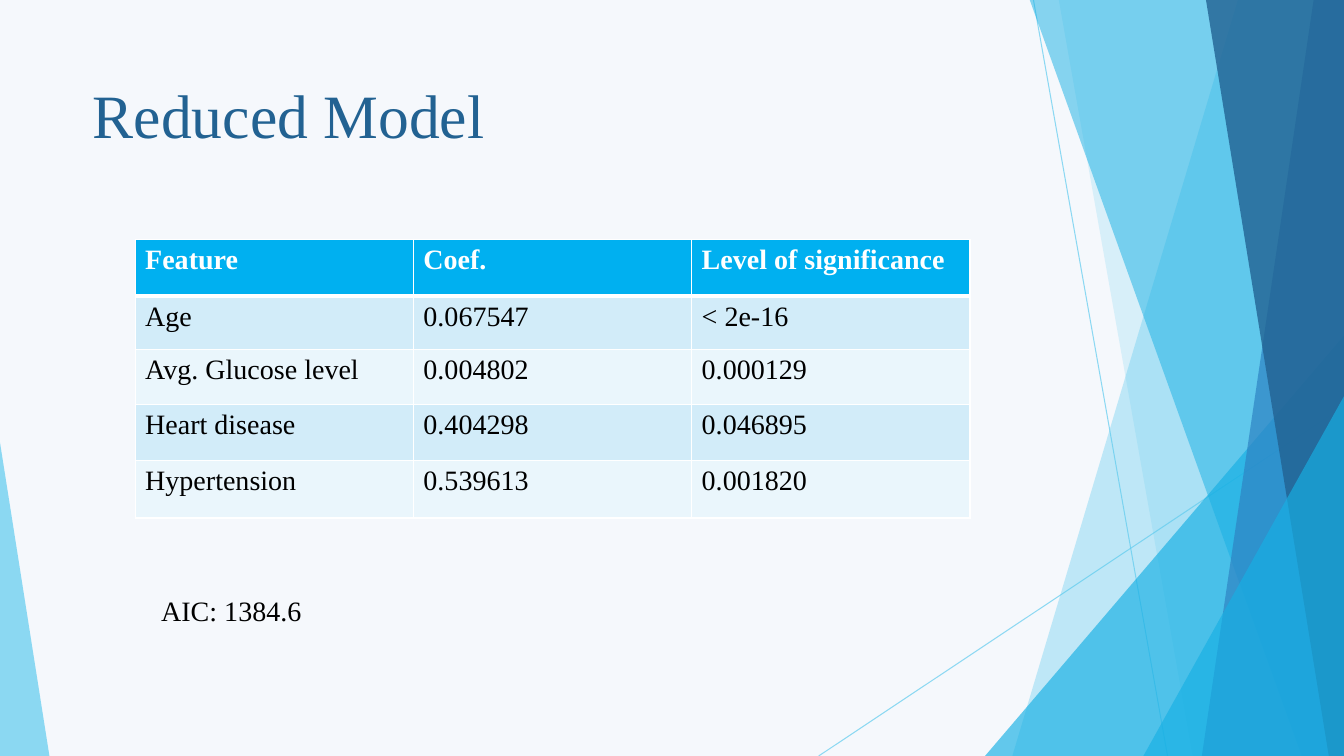
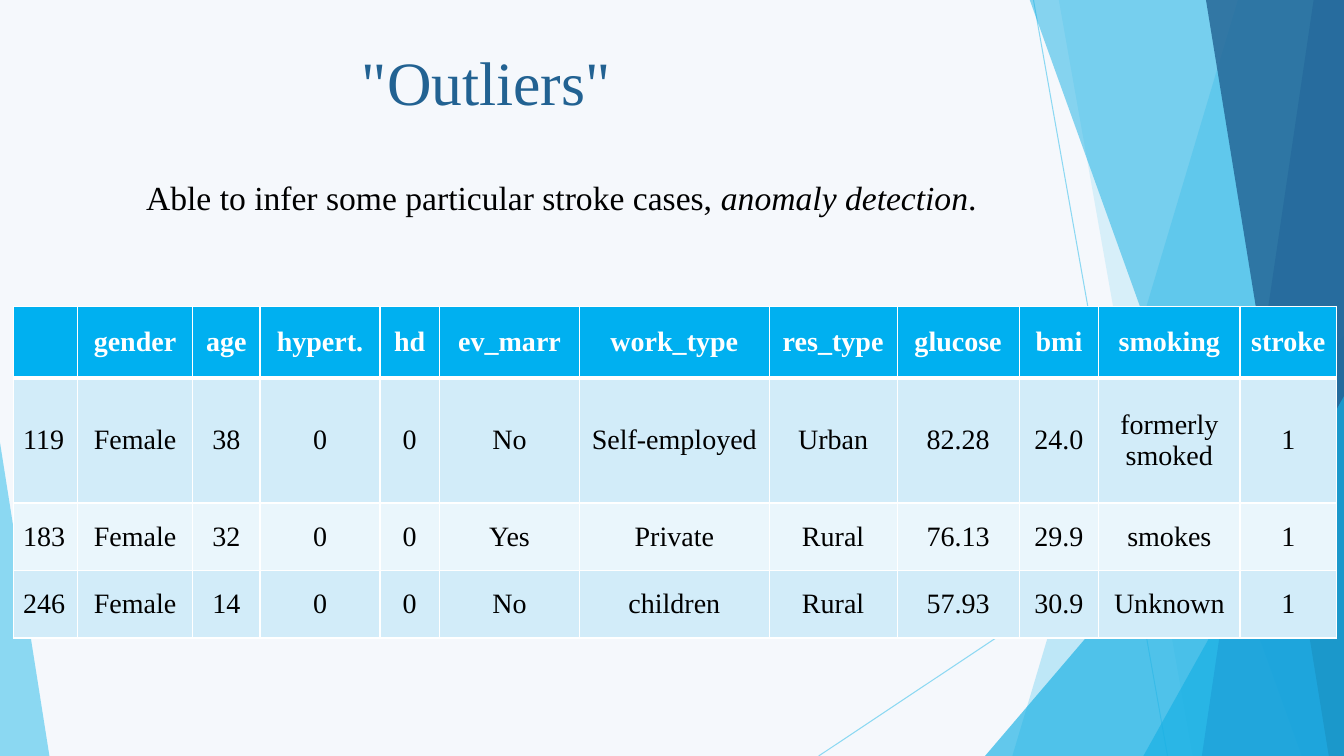
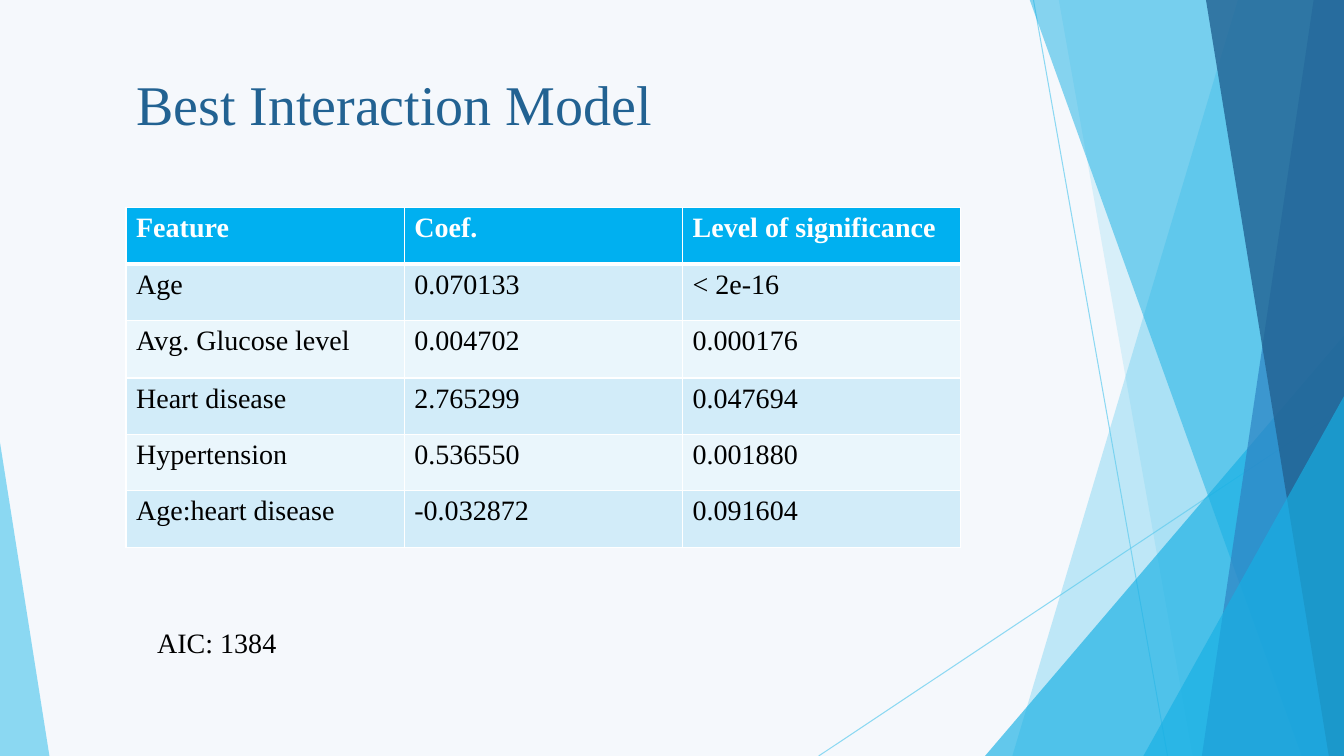
from pptx import Presentation
from pptx.dml.color import RGBColor
from pptx.enum.shapes import MSO_CONNECTOR, MSO_SHAPE
from pptx.enum.text import MSO_ANCHOR, PP_ALIGN
from pptx.oxml.ns import qn
from pptx.util import Inches, Pt
from lxml.etree import SubElement

FONT = "Times New Roman"
COLOURS = {
    "background": "F5F8FC", "title": "226292", "text": "000000", "white": "FFFFFF",
    "header": "00B0F0", "odd row": "D2ECF9", "even row": "EAF6FC",
    "sky": "5FCBEF", "cyan": "17B0E4", "blue": "2E83C3", "navy": "226292",
}
WIDTH, HEIGHT = 13.33, 7.5


def add_run(paragraph, text, size, colour, bold=False, italic=False):
    run = paragraph.add_run()
    run.text = text
    run.font.name, run.font.size = FONT, Pt(size)
    run.font.bold, run.font.italic = bold, italic
    run.font.color.rgb = RGBColor.from_string(COLOURS[colour])


def set_opacity(shape, percent):
    for colour in shape.element.iter(qn("a:srgbClr")):
        SubElement(colour, qn("a:alpha"), val=str(percent * 1000))


prs = Presentation()
prs.slide_width, prs.slide_height = Inches(WIDTH), Inches(HEIGHT)
background = prs.slide_master.background.fill
background.solid()
background.fore_color.rgb = RGBColor.from_string(COLOURS["background"])
layout = prs.slide_layouts.get_by_name("Title Only")

# Content: title, its box and size; note, its box and size; table
feature_header = ["Feature", "Coef.", "Level of significance"]
slides = [
    {
        "title": ("Reduced Model", (0.82, 0.71, 5.85, 1.14), 44),
        "note": ([("AIC: 1384.6", False)], (1.5, 5.84, 2.01, 0.44), 20),
        "corner": (1.34, 2.38), "columns": [2.76] * 3,
        "heights": [0.56, 0.53, 0.54, 0.56, 0.57], "centred": False,
        "rows": [
            feature_header,
            ["Age", "0.067547", "< 2e-16"],
            ["Avg. Glucose level", "0.004802", "0.000129"],
            ["Heart disease", "0.404298", "0.046895"],
            ["Hypertension", "0.539613", "0.001820"],
        ],
    },
    {
        "title": ('"Outliers"', (3.49, 0.39, 3.97, 0.84), 44),
        "note": ([("Able to infer some particular stroke cases, ", False),
                  ("anomaly detection", True), (".", False)], (1.35, 1.71, 8.69, 0.5), 24),
        "corner": (0.13, 3.04),
        "columns": [0.64, 1.14, 0.67, 1.19, 0.59, 1.39, 1.88, 1.27, 1.21, 0.79, 1.4, 0.96],
        "heights": [0.71, 1.24, 0.67, 0.67], "centred": True,
        "rows": [
            ["", "gender", "age", "hypert.", "hd", "ev_marr", "work_type", "res_type",
             "glucose", "bmi", "smoking", "stroke"],
            ["119", "Female", "38", "0", "0", "No", "Self-employed", "Urban",
             "82.28", "24.0", "formerly smoked", "1"],
            ["183", "Female", "32", "0", "0", "Yes", "Private", "Rural",
             "76.13", "29.9", "smokes", "1"],
            ["246", "Female", "14", "0", "0", "No", "children", "Rural",
             "57.93", "30.9", "Unknown", "1"],
        ],
    },
    {
        "title": ("Best Interaction Model", (1.25, 0.64, 7, 1.08), 40),
        "note": ([("AIC: 1384", False)], (1.46, 6.16, 1.45, 0.44), 20),
        "corner": (1.25, 2.06), "columns": [2.76] * 3,
        "heights": [0.56, 0.56, 0.57, 0.56, 0.56, 0.56], "centred": False,
        "rows": [
            feature_header,
            ["Age", "0.070133", "< 2e-16"],
            ["Avg. Glucose level", "0.004702", "0.000176"],
            ["Heart disease", "2.765299", "0.047694"],
            ["Hypertension", "0.536550", "0.001880"],
            ["Age:heart disease", "-0.032872", "0.091604"],
        ],
    },
]

for content in slides:
    slide = prs.slides.add_slide(layout)

    # Title
    text, box, size = content["title"]
    title = slide.shapes.title
    title.left, title.top, title.width, title.height = map(Inches, box)
    title.text_frame.vertical_anchor = MSO_ANCHOR.TOP
    heading = title.text_frame.paragraphs[0]
    heading.alignment = PP_ALIGN.LEFT
    add_run(heading, text, size, "title")

    # Table
    rows, columns, heights = content["rows"], content["columns"], content["heights"]
    table = slide.shapes.add_table(
        len(rows), len(columns), *map(Inches, content["corner"]),
        Inches(sum(columns)), Inches(sum(heights))).table
    table.horz_banding = False
    for column, width in zip(table.columns, columns):
        column.width = Inches(width)
    for r, values in enumerate(rows):
        table.rows[r].height = Inches(heights[r])
        band = "header" if r == 0 else "odd row" if r % 2 else "even row"
        for c, value in enumerate(values):
            cell = table.cell(r, c)
            thick_side = {0: "lnB", 1: "lnT"}.get(r)
            for side in ("lnL", "lnR", "lnT", "lnB"):
                border = SubElement(cell._tc.get_or_add_tcPr(), qn("a:" + side),
                                    w=str(Pt(3 if side == thick_side else 1)))
                SubElement(SubElement(border, qn("a:solidFill")), qn("a:srgbClr"),
                           val=COLOURS["white"])
            cell.fill.solid()
            cell.fill.fore_color.rgb = RGBColor.from_string(COLOURS[band])
            entry = cell.text_frame.paragraphs[0]
            if content["centred"]:
                cell.vertical_anchor = MSO_ANCHOR.MIDDLE
                if r == 0 or c > 0:
                    entry.alignment = PP_ALIGN.CENTER
            if value:
                add_run(entry, value, 20, "text" if r else "white", bold=r == 0)

    # Note
    parts, box, size = content["note"]
    note = slide.shapes.add_textbox(*map(Inches, box)).text_frame
    note.word_wrap = True
    for text, italic in parts:
        add_run(note.paragraphs[0], text, size, "text", italic=italic)

# Facet decoration, drawn once and moved to the shared layout
canvas = prs.slides[0].shapes
facets = []
for ends in [(10.25, 0, 11.58, HEIGHT), (WIDTH, 4.03, 8.12, HEIGHT)]:
    ray = canvas.add_connector(MSO_CONNECTOR.STRAIGHT, *map(Inches, ends))
    ray.line.width = Pt(0.75)
    ray.line.color.rgb = RGBColor.from_string(COLOURS["sky"])
    set_opacity(ray, 70)
    SubElement(ray.element.spPr, qn("a:effectLst"))
    facets.append(ray)

# Panels: x of the left edge at top and bottom; triangles: box and apex
for kind, geometry, colour, opacity in [
    ("panel", (12.28, 10.04), "sky", 36),
    ("panel", (10.5, 11.83), "sky", 20),
    ("triangle", (9.77, 3.33, 3.56, 4.17, 1), "cyan", 66),
    ("panel", (10.21, 12.91), "cyan", 50),
    ("panel", (13.03, 11.92), "blue", 70),
    ("panel", (11.96, 13.18), "navy", 80),
    ("triangle", (11.34, 3.93, 1.99, 3.57, 1), "cyan", 66),
    ("triangle", (0, 4.39, 0.49, 3.11, 0), "sky", 70),
]:
    if kind == "panel":
        top_x, bottom_x = geometry
        outline = canvas.build_freeform(Inches(top_x), Inches(-0.01))
        corners = [(WIDTH, -0.01), (WIDTH, HEIGHT), (bottom_x, HEIGHT)]
        outline.add_line_segments([(Inches(x), Inches(y)) for x, y in corners], close=True)
        facet = outline.convert_to_shape()
    else:
        *box, apex = geometry
        facet = canvas.add_shape(MSO_SHAPE.ISOSCELES_TRIANGLE, *map(Inches, box))
        facet.adjustments[0] = apex
    facet.shadow.inherit = False
    facet.line.fill.background()
    facet.fill.solid()
    facet.fill.fore_color.rgb = RGBColor.from_string(COLOURS[colour])
    set_opacity(facet, opacity)
    facets.append(facet)

for position, facet in enumerate(facets, start=2):
    layout.shapes.element.insert(position, facet.element)

prs.save("out.pptx")
